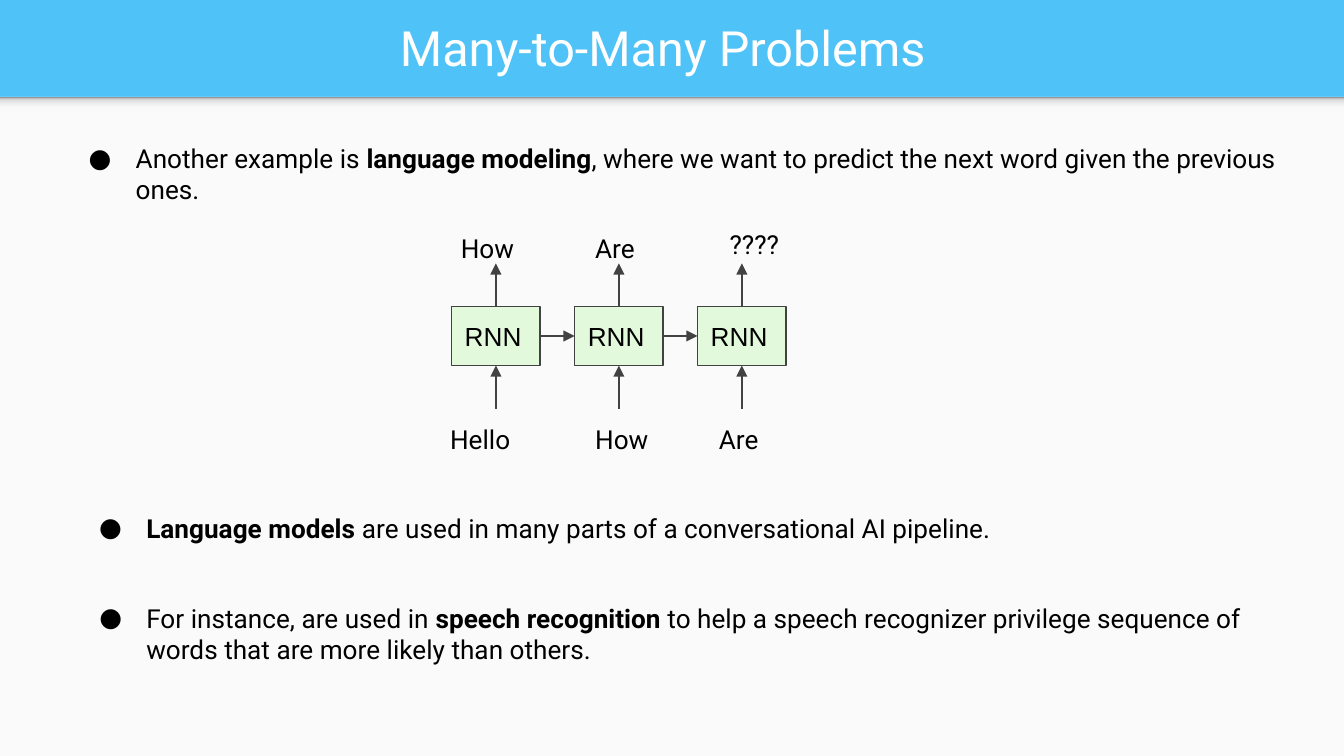
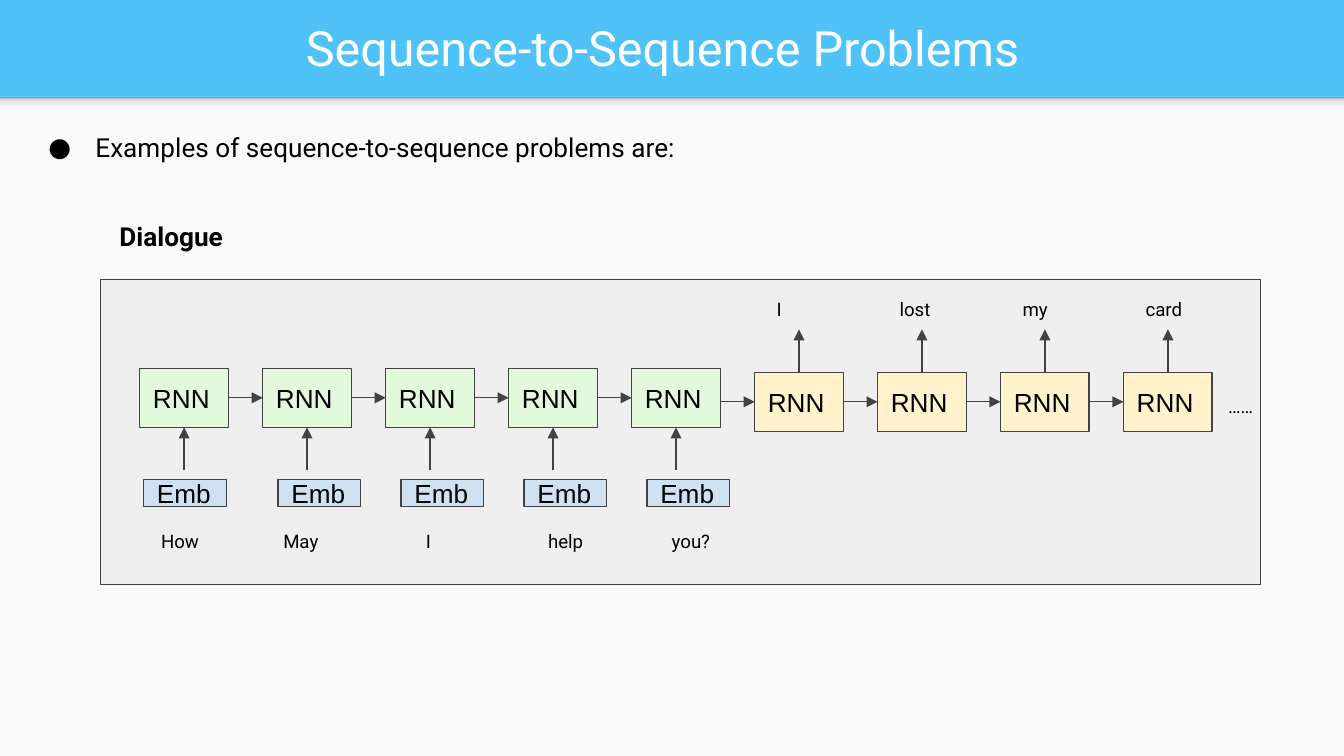
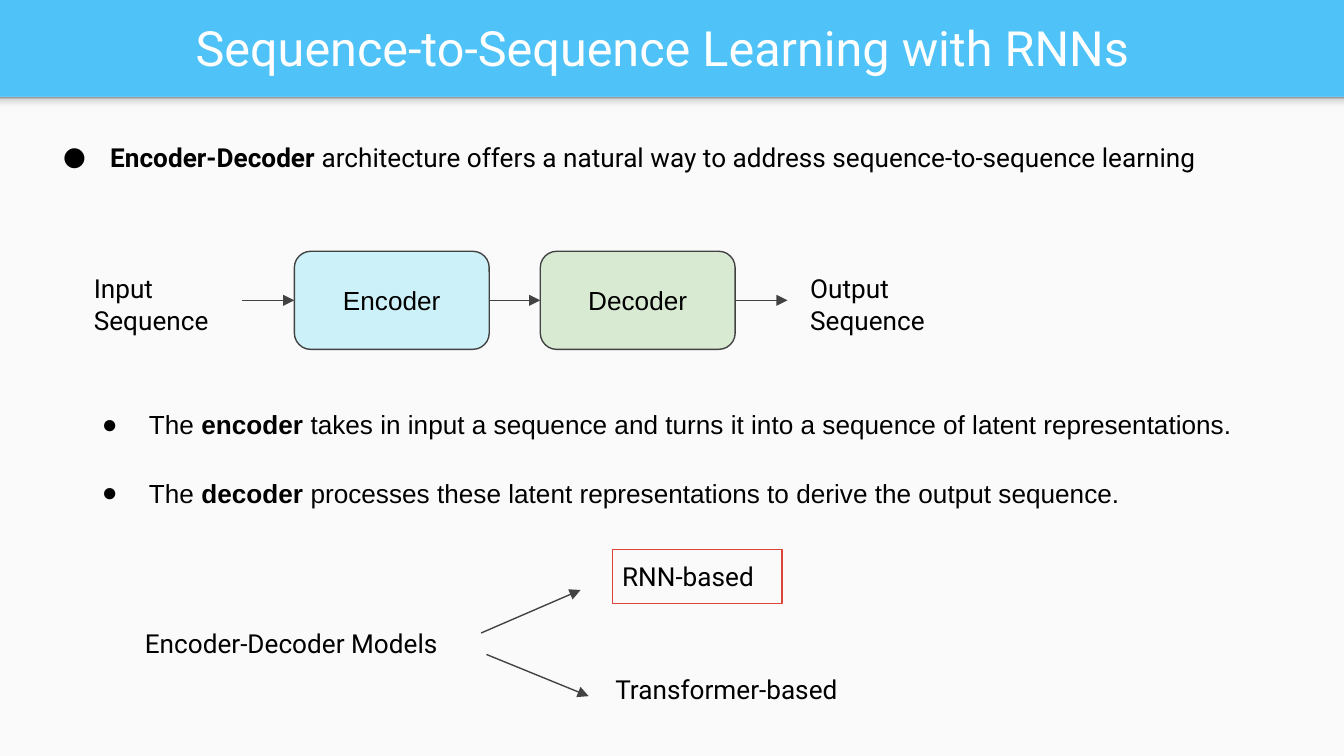
from lxml import etree
from pptx import Presentation
from pptx import util as u
from pptx.dml import color
from pptx.enum import shapes, text
from pptx.oxml import ns

SKY, PAPER, INK, GRAPHITE, WHITE = "4FC3F7", "FAFAFA", "000000", "424242", "FFFFFF"
MINT, CREAM, ICE, SMOKE, SAGE = "E3F9DB", "FFF2CC", "CFE2F3", "EFEFEF", "D9EAD3"
AQUA, ALERT = "29D2F5", "DB4437"
SHADE = [(0, "F9F9F9"), (36, "F9F9F9"), (80, "DEDEDE"), (100, "999999")]
COLUMNS, ROWS = 100, 56.25
SLIDE_WIDTH, SLIDE_HEIGHT = u.Inches(10), u.Inches(5.625)
PITCH, CELL_WIDTH, CELL_HEIGHT, STUB = 9.15, 6.6, 4.4, 3.2
LEFT, CENTER = text.PP_ALIGN.LEFT, text.PP_ALIGN.CENTER
RECT, ROUND = shapes.MSO_SHAPE.RECTANGLE, shapes.MSO_SHAPE.ROUNDED_RECTANGLE
TOP_SIDE, LEFT_SIDE, BOTTOM_SIDE, RIGHT_SIDE = range(4)


def paint(target, hex_code):
    """Give a fill, line fill or font one solid colour."""
    if hasattr(target, "solid"):
        target.solid()
        target = target.fore_color
    else:
        target = target.color
    target.rgb = color.RGBColor.from_string(hex_code)


def add_xml(parent, tag, **attributes):
    """Append a drawing element with its attributes."""
    return etree.SubElement(parent, ns.qn(tag), attributes)


def grid(left, top, width, height):
    """Turn columns and rows into slide lengths."""
    across, down = SLIDE_WIDTH / COLUMNS, SLIDE_HEIGHT / ROWS
    return [round(n) for n in (left * across, top * down, width * across, height * down)]


def place(holder, *cells):
    """Move a placeholder to its cells on the grid."""
    holder.left, holder.top, holder.width, holder.height = grid(*cells)


def write(holder, words, size=14, font="Roboto", ink=INK, align=LEFT, middle=False):
    """Write text in a holder; words between asterisks are bold."""
    frame = holder.text_frame
    frame.text = words
    frame.word_wrap = True
    frame.auto_size = text.MSO_AUTO_SIZE.NONE
    frame.vertical_anchor = text.MSO_ANCHOR.MIDDLE if middle else text.MSO_ANCHOR.TOP
    frame.margin_left = frame.margin_right = u.Inches(0.1)
    frame.margin_top = frame.margin_bottom = u.Inches(0.1)
    for paragraph in frame.paragraphs:
        pieces = paragraph.text.split("*")
        paragraph.clear()
        paragraph.alignment = align
        paragraph.space_before = u.Pt(0)
        for order, piece in enumerate(pieces):
            if piece:
                run = paragraph.add_run()
                run.text = piece
                run.font.name, run.font.size = font, u.Pt(size)
                run.font.bold = order % 2 == 1
                paint(run.font, ink)


def label(slide, words, left, top, width, height=4.4, **style):
    """Add a free text label."""
    caption = slide.shapes.add_textbox(*grid(left, top, width, height))
    write(caption, words, **style)
    return caption


def make_bullet(holder, words, **style):
    """Write one bulleted point with a hanging indent."""
    write(holder, words, **style)
    properties = holder.text_frame.paragraphs[0]._p.get_or_add_pPr()
    properties.set("marL", str(u.Inches(0.5)))
    properties.set("indent", str(u.Inches(-0.35)))
    add_xml(add_xml(properties, "a:buClr"), "a:srgbClr", val=INK)
    add_xml(properties, "a:buFont", typeface=style.get("font", "Roboto"))
    add_xml(properties, "a:buChar", char="●")


def point(slide, words, left, top, width, height=4.4, **style):
    """Add a further bulleted point below the lead one."""
    make_bullet(label(slide, words, left, top, width, height), words, **style)


def box(slide, left, top, width, height, fill=None, words="", outline=GRAPHITE,
        form=RECT, align=LEFT):
    """Add an outlined box with an optional fill and caption."""
    block = slide.shapes.add_shape(form, *grid(left, top, width, height))
    block.shadow.inherit = False
    if fill:
        paint(block.fill, fill)
    else:
        block.fill.background()
    if outline:
        paint(block.line.fill, outline)
        block.line.width = u.Pt(0.75)
    else:
        block.line.fill.background()
    if words:
        write(block, words, font="Arial", align=align, middle=True)
    return block


def arrow(slide, start, end, source=None, target=None):
    """Draw an arrow; source and target are (box, side) pairs to join."""
    x1, y1, x2, y2 = grid(*start, *end)
    link = slide.shapes.add_connector(shapes.MSO_CONNECTOR.STRAIGHT, x1, y1, x2, y2)
    if source:
        link.begin_connect(*source)
    if target:
        link.end_connect(*target)
    paint(link.line.fill, GRAPHITE)
    link.line.width = u.Pt(0.75)
    add_xml(link.line._get_or_add_ln(), "a:tailEnd", type="triangle")
    add_xml(link._element.spPr, "a:effectLst")


def flow(slide, source, target):
    """Join the right side of one box to the left side of the next."""
    arrow(slide, (0, 0), (0, 0), (source, RIGHT_SIDE), (target, LEFT_SIDE))


def rnn_chain(slide, left, top, count, fill, inputs=False, outputs=False):
    """Draw a chain of RNN cells with their input and output arrows."""
    cells = []
    for step in range(count):
        x = left + step * PITCH
        middle, foot = x + CELL_WIDTH / 2, top + CELL_HEIGHT
        cell = box(slide, x, top, CELL_WIDTH, CELL_HEIGHT, fill, "RNN")
        if inputs:
            arrow(slide, (middle, foot + STUB), (middle, foot), target=(cell, BOTTOM_SIDE))
        if outputs:
            arrow(slide, (middle, top), (middle, top - STUB), source=(cell, TOP_SIDE))
        if cells:
            flow(slide, cells[-1], cell)
        cells.append(cell)
    return cells


def dress_layout(layout, slide):
    """Give the layout its blue header, pale page and shaded edge."""
    paint(layout.background.fill, SKY)
    page = box(slide, 0, 7.2, COLUMNS, ROWS - 7.2, PAPER, outline=None)
    edge = box(slide, 0, 7.2, COLUMNS, 1.2, outline=None)
    edge.fill.gradient()
    edge.fill.gradient_angle = 90
    stops = edge._element.spPr.find(ns.qn("a:gradFill")).find(ns.qn("a:gsLst"))
    stops.clear()
    for share, shade in SHADE:
        add_xml(add_xml(stops, "a:gs", pos=str(share * 1000)), "a:srgbClr", val=shade)
    for order, part in enumerate((page, edge)):
        part._element.nvSpPr.cNvPr.set("id", str(100 + order))
        layout.shapes.element.insert(2 + order, part._element)


def start_slide(deck, layout, heading, lead, *lead_cells):
    """Add a slide with its title and lead point."""
    slide = deck.slides.add_slide(layout)
    title, body = slide.placeholders
    place(title, 1.1, 0.2, 96.5, 6.6)
    write(title, heading, size=26, ink=WHITE, align=CENTER, middle=True)
    place(body, *lead_cells)
    make_bullet(body, lead)
    return slide


def many_to_many(deck, layout):
    """Build the language modeling slide."""
    slide = start_slide(
        deck, layout, "Many-to-Many Problems",
        "Another example is *language modeling*, where we want to predict the next word "
        "given the previous ones.", 4.1, 9.6, 94.6, 6.7)
    rnn_chain(slide, 33.6, 22.8, 3, MINT, inputs=True, outputs=True)
    for word, left in zip(("Hello", "How", "Are"), (32.5, 43.3, 52.5)):
        label(slide, word, left, 30.5, 8.2)
    for step, (word, top) in enumerate((("How", 16.3), ("Are", 16.3), ("????", 16))):
        label(slide, word, 33.3 + 10 * step, top, 8.2)
    point(slide, "*Language models *are used in many parts of a conversational AI pipeline.",
          4.9, 37.1, 89.6)
    point(slide, "For instance, are used in *speech recognition* to help a speech recognizer "
          "privilege sequence of words that are more likely than others.",
          4.9, 43.8, 89.5, 6.7)
    return slide


def dialogue(deck, layout):
    """Build the dialogue example slide."""
    slide = start_slide(deck, layout, "Sequence-to-Sequence Problems",
                        "Examples of sequence-to-sequence problems are:", 1.1, 8.8, 52.9, 4.4)
    box(slide, 7.5, 20.8, 86.3, 22.7, SMOKE)
    label(slide, "*Dialogue*", 7.9, 15.4, 22.1)
    encoders = rnn_chain(slide, 10.4, 27.4, 5, MINT, inputs=True)
    decoder_left = 10.4 + len(encoders) * PITCH
    decoders = rnn_chain(slide, decoder_left, 27.7, 4, CREAM, outputs=True)
    handover = 27.7 + CELL_HEIGHT / 2
    arrow(slide, (decoder_left - PITCH + CELL_WIDTH, handover), (decoder_left, handover),
          target=(decoders[0], LEFT_SIDE))
    heard = zip(("How", "May", "I", "help", "you?"), (11, 20.1, 30.7, 39.8, 49))
    for step, (word, left) in enumerate(heard):
        box(slide, 11.55 + step * PITCH if step else 10.7, 35.7, 6.15, 2, ICE, "Emb")
        label(slide, word, left, 38.4, 8, 3.7, size=10)
    for step, word in enumerate(("I", "lost", "my", "card")):
        label(slide, word, 56.8 + step * PITCH, 21.2, 11.1, 3.7, size=10)
    label(slide, "……", 90.4, 28.4, 5.2, 3.7, size=10)


def encoder_decoder(deck, layout):
    """Build the encoder-decoder slide."""
    slide = start_slide(
        deck, layout, "Sequence-to-Sequence Learning with RNNs",
        "*Encoder-Decoder* architecture offers a natural way to address "
        "sequence-to-sequence learning", 2.2, 9.5, 94.2, 4.4)
    encoder = box(slide, 21.9, 18.7, 14.5, 7.3, AQUA, "Encoder", form=ROUND, align=CENTER)
    tint = encoder._element.spPr.find(ns.qn("a:solidFill"))[0]
    add_xml(tint, "a:alpha", val="21000")
    decoder = box(slide, 40.2, 18.7, 14.5, 7.3, SAGE, "Decoder", form=ROUND, align=CENTER)
    axis = 18.7 + 7.3 / 2
    arrow(slide, (18, axis), (21.9, axis), target=(encoder, LEFT_SIDE))
    flow(slide, encoder, decoder)
    arrow(slide, (54.7, axis), (58.6, axis), source=(decoder, RIGHT_SIDE))
    for words, left in (("Input\nSequence", 6), ("Output\nSequence", 59.3)):
        label(slide, words, left, 19.3, 11.3, 6.7)
    point(slide, "The *encoder* takes in input a sequence and turns it into a sequence of "
          "latent representations.", 5.1, 29.4, 91.4, font="Arial")
    point(slide, "The *decoder* processes these latent representations to derive the output "
          "sequence.", 5.1, 34.5, 89, font="Arial")
    label(slide, "Encoder-Decoder Models", 9.8, 45.7, 26)
    arrow(slide, (35.8, 47.1), (43.2, 43.9))
    label(slide, "RNN-based", 45.3, 40.7, 15.9)
    arrow(slide, (36.2, 48.7), (43.8, 51.8))
    label(slide, "Transformer-based", 44.8, 49.1, 19.9)
    box(slide, 45.6, 40.9, 12.6, 4, outline=ALERT)


def main():
    """Build and save the deck."""
    deck = Presentation()
    deck.slide_width, deck.slide_height = SLIDE_WIDTH, SLIDE_HEIGHT
    layout = deck.slide_layouts[1]
    dress_layout(layout, many_to_many(deck, layout))
    dialogue(deck, layout)
    encoder_decoder(deck, layout)
    deck.save("out.pptx")


if __name__ == "__main__":
    main()
